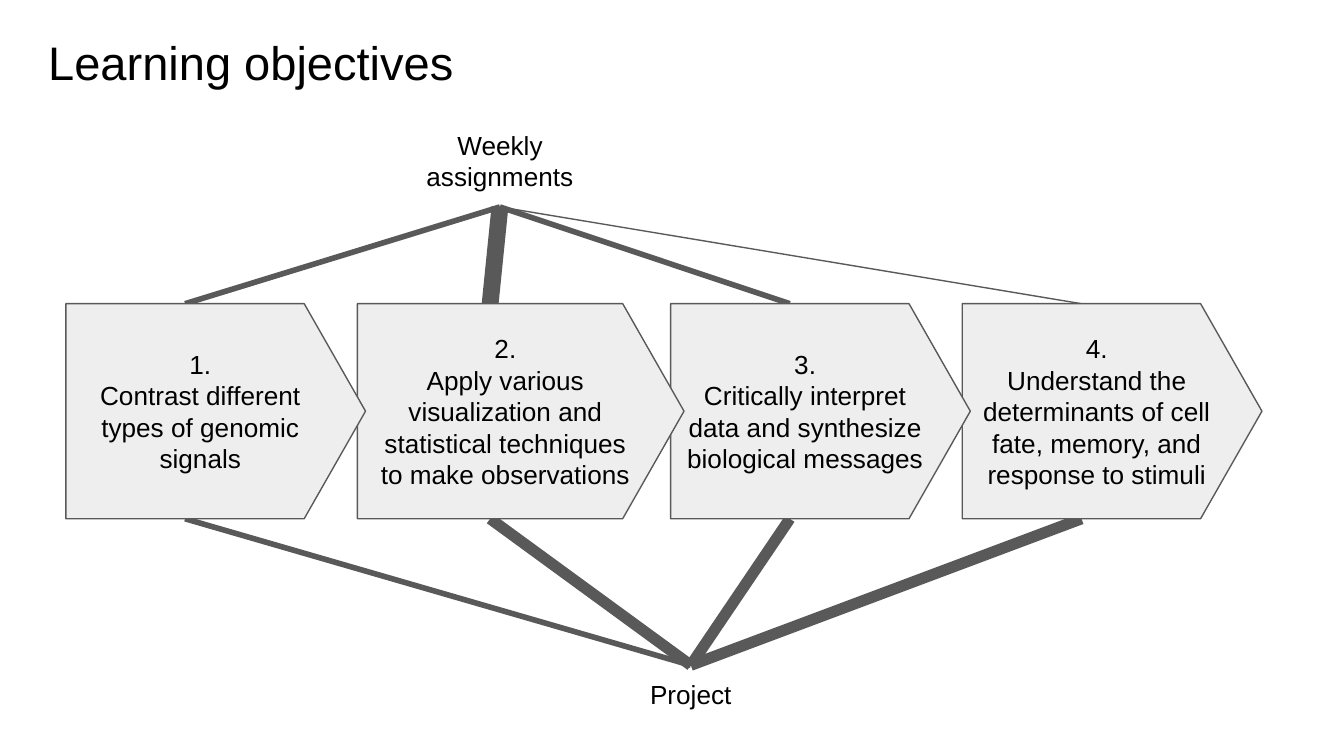
from pptx import Presentation
from pptx.dml.color import RGBColor
from pptx.enum.shapes import MSO_CONNECTOR, MSO_SHAPE
from pptx.enum.text import MSO_ANCHOR, MSO_AUTO_SIZE, PP_ALIGN
from pptx.oxml.ns import qn
from pptx.util import Inches, Pt
from lxml import etree

# Content: left, width and text of each objective; line weights by objective
TITLE = "Learning objectives"
OBJECTIVES = [
    (0.49, 2.23, "Contrast different types of genomic signals"),
    (2.66, 2.43, "Apply various visualization and statistical techniques to make observations"),
    (4.99, 2.23, "Critically interpret data and synthesize biological messages"),
    (7.16, 2.23, "Understand the determinants of cell fate, memory, and response to stimuli"),
]
ASSESSMENTS = [
    {"text": "Weekly assignments", "box": (2.91, 0.86, 1.62, 0.68),
     "above": True, "weights": (3, 9, 3, 0.75)},
    {"text": "Project", "box": (4.33, 4.95, 1.62, 0.44),
     "above": False, "weights": (3, 6, 6, 6)},
]

THEME = {
    "font": "Arial",
    "text": RGBColor(0, 0, 0),
    "line": RGBColor(0x59, 0x59, 0x59),
    "fill": RGBColor(0xEE, 0xEE, 0xEE),
    "title_size": Pt(25.2),
    "body_size": Pt(14),
    "outline": Pt(0.75),
}
ARROW_TOP, ARROW_HEIGHT, POINT_RATIO = 2.26, 1.6, 0.285
TOP_SITE, BOTTOM_SITE = 0, 2


def write(shape, lines, size, alignment, anchor):
    frame = shape.text_frame
    frame.word_wrap = True
    frame.vertical_anchor = anchor
    frame.margin_left = frame.margin_right = Inches(0.1)
    frame.margin_top = frame.margin_bottom = Inches(0.1)
    for index, line in enumerate(lines):
        paragraph = frame.add_paragraph() if index else frame.paragraphs[0]
        paragraph.alignment = alignment
        run = paragraph.add_run()
        run.text = line
        run.font.name = THEME["font"]
        run.font.size = size
        run.font.color.rgb = THEME["text"]


def add_label(slide, text, box, size, alignment):
    label = slide.shapes.add_textbox(*map(Inches, box))
    write(label, [text], size, alignment, MSO_ANCHOR.TOP)
    return label


def add_link(slide, label, site, end_x, end_y, weight):
    link = slide.shapes.add_connector(
        MSO_CONNECTOR.STRAIGHT, 0, 0, Inches(end_x), Inches(end_y))
    link.begin_connect(label, site)
    link.line.color.rgb = THEME["line"]
    link.line.width = Pt(weight)
    etree.SubElement(link._element.spPr, qn("a:effectLst"))


def add_objective(slide, number, left, width, text):
    arrow = slide.shapes.add_shape(
        MSO_SHAPE.PENTAGON, Inches(left), Inches(ARROW_TOP),
        Inches(width), Inches(ARROW_HEIGHT))
    arrow.adjustments[0] = POINT_RATIO
    arrow.shadow.inherit = False
    arrow.fill.solid()
    arrow.fill.fore_color.rgb = THEME["fill"]
    arrow.line.color.rgb = THEME["line"]
    arrow.line.width = THEME["outline"]
    write(arrow, [f"{number}.", text], THEME["body_size"],
          PP_ALIGN.CENTER, MSO_ANCHOR.MIDDLE)


def main():
    # Widescreen 16:9 slide
    presentation = Presentation()
    presentation.slide_width = Inches(10)
    presentation.slide_height = Inches(10 * 9 / 16)
    slide = presentation.slides.add_slide(presentation.slide_layouts[6])

    # Assessments, each linked to the middle of every arrow's straight edge
    for assessment in ASSESSMENTS:
        label = add_label(slide, assessment["text"], assessment["box"],
                          THEME["body_size"], PP_ALIGN.CENTER)
        label.text_frame.auto_size = MSO_AUTO_SIZE.SHAPE_TO_FIT_TEXT
        above = assessment["above"]
        site = BOTTOM_SITE if above else TOP_SITE
        edge_y = ARROW_TOP if above else ARROW_TOP + ARROW_HEIGHT
        for (left, width, _), weight in zip(OBJECTIVES, assessment["weights"]):
            edge_x = left + (width - POINT_RATIO * ARROW_HEIGHT) / 2
            add_link(slide, label, site, edge_x, edge_y, weight)

    # Title
    add_label(slide, TITLE, (0.26, 0.15, 9.32, 0.63),
              THEME["title_size"], PP_ALIGN.LEFT)

    # Objectives, last first so that each point overlaps the next arrow
    for number, objective in reversed(list(enumerate(OBJECTIVES, start=1))):
        add_objective(slide, number, *objective)

    presentation.save("out.pptx")


if __name__ == "__main__":
    main()
